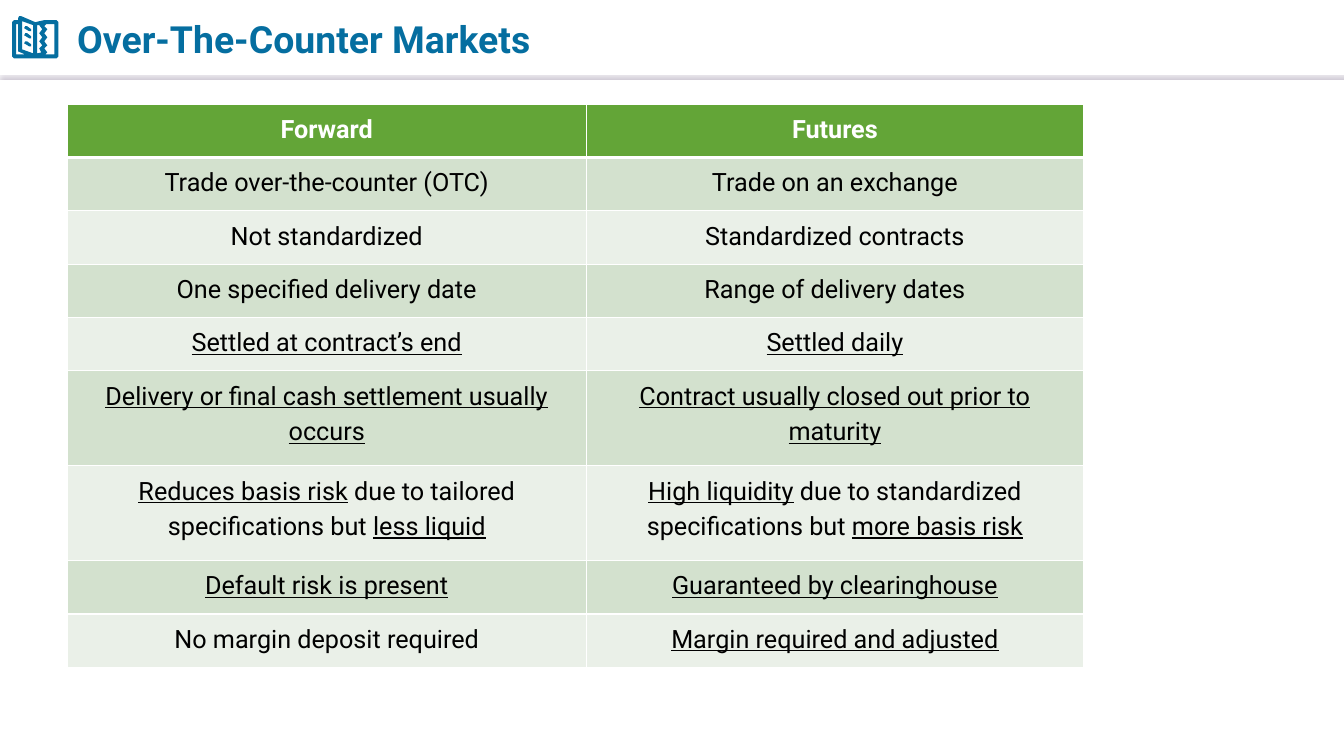
import dataclasses

import lxml.etree
import pptx
import pptx.dml.color
import pptx.enum.shapes
import pptx.enum.text
import pptx.oxml
import pptx.oxml.ns
import pptx.util

RGBColor = pptx.dml.color.RGBColor
BLUE = RGBColor(0x05, 0x6E, 0xA0)
GREEN = RGBColor(0x63, 0xA5, 0x37)
SAGE = RGBColor(0xD3, 0xE1, 0xCE)
PALE = RGBColor(0xEA, 0xF0, 0xE8)
SHADOW = RGBColor(0xBC, 0xB4, 0xC4)
WHITE = RGBColor(0xFF, 0xFF, 0xFF)
BLACK = RGBColor(0x00, 0x00, 0x00)
FONT = "Roboto"

# The slide is a grid of 160 columns by 90 rows of square units.
COLUMNS, ROWS = 160, 90
UNIT = pptx.util.Inches(1 / 12)
ICON_UNIT = UNIT * 0.12
COLUMN_WIDTHS = (61.8, 59.2)
LINE_ROWS = {1: 6.35, 2: 11.3}


@dataclasses.dataclass(frozen=True)
class Comparison:
    """One table row; underscores enclose underlined words."""
    forward: str
    futures: str
    lines: int = 1


COMPARISONS = [
    Comparison("Forward", "Futures"),
    Comparison("Trade over-the-counter (OTC)", "Trade on an exchange"),
    Comparison("Not standardized", "Standardized contracts"),
    Comparison("One specified delivery date", "Range of delivery dates"),
    Comparison("_Settled at contract’s end_", "_Settled daily_"),
    Comparison("_Delivery or final cash settlement usually occurs_",
               "_Contract usually closed out prior to maturity_", lines=2),
    Comparison("_Reduces basis risk_ due to tailored specifications but _less liquid_",
               "_High liquidity_ due to standardized specifications but _more basis risk_",
               lines=2),
    Comparison("_Default risk is present_", "_Guaranteed by clearinghouse_"),
    Comparison("No margin deposit required", "_Margin required and adjusted_"),
]

Contour = list[tuple[int, int]]
BOOK_OUTLINE: Contour = [
    (21, 16), (35, 22), (44, 20), (56, 20), (58, 22), (58, 56), (56, 58),
    (14, 58), (12, 56), (12, 22), (14, 20), (18, 20), (18, 18), (19, 16)]
LEFT_PAGE: Contour = [(22, 21), (33, 25), (33, 53), (22, 49)]
LEFT_COVER: Contour = [(16, 24), (18, 24), (18, 51), (25, 54), (16, 54)]
RIGHT_PAGE: Contour = [
    (37, 25), (39, 25), (42, 29), (39, 33), (42, 37), (39, 41), (42, 45),
    (39, 48), (41, 52), (37, 53)]
RIGHT_COVER: Contour = [
    (46, 24), (54, 24), (54, 54), (45, 54), (47, 52), (44, 48), (47, 45),
    (44, 41), (47, 37), (44, 33), (47, 29), (44, 26)]
TEXT_LINES: list[Contour] = [
    [(25, y), (27, y), (31, y + 3), (31, y + 5), (29, y + 5), (24, y + 2)]
    for y in (26, 33, 41)]
BOOK = [BOOK_OUTLINE, LEFT_PAGE, LEFT_COVER, RIGHT_PAGE, RIGHT_COVER, *TEXT_LINES]


def grid(units: float) -> pptx.util.Emu:
    return pptx.util.Emu(round(units * UNIT))


def write(tf, text: str, *, size: float, color: RGBColor, bold: bool = False,
          align=pptx.enum.text.PP_ALIGN.LEFT, spacing: float = 1.0) -> None:
    """Write one paragraph, underlining the words between underscores."""
    p = tf.paragraphs[0]
    p.alignment = align
    p.line_spacing = spacing
    for i, part in enumerate(text.split("_")):
        if part:
            r = p.add_run()
            r.text = part
            r.font.name = FONT
            r.font.size = pptx.util.Pt(size)
            r.font.color.rgb = color
            r.font.bold = bold
            r.font.underline = i % 2 == 1


def add_header_rule(s) -> None:
    rule = s.shapes.add_connector(pptx.enum.shapes.MSO_CONNECTOR.STRAIGHT,
                                  0, grid(8.76), grid(COLUMNS), grid(8.76))
    rule.line.color.rgb = WHITE
    rule.line.width = pptx.util.Pt(0.75)
    rule._element.spPr.append(pptx.oxml.parse_xml(
        f'<a:effectLst {pptx.oxml.ns.nsdecls("a")}>'
        f'<a:outerShdw blurRad="{pptx.util.Pt(1)}" dist="{pptx.util.Pt(3)}" '
        f'dir="5400000" algn="t" rotWithShape="0"><a:srgbClr val="{SHADOW}"/>'
        '</a:outerShdw></a:effectLst>'))


def add_book(s) -> None:
    builder = s.shapes.build_freeform(*BOOK[0][0], scale=ICON_UNIT)
    for contour in BOOK:
        builder.move_to(*contour[0])
        builder.add_line_segments(contour[1:], close=True)
    sp = builder.convert_to_shape()
    sp.shadow.inherit = False
    sp.fill.solid()
    sp.fill.fore_color.rgb = BLUE
    sp.line.fill.background()


def add_title(s, text: str) -> None:
    sp = s.shapes.add_textbox(grid(8), grid(0.84), grid(88.3), grid(7.56))
    tf = sp.text_frame
    tf.word_wrap = True
    tf.vertical_anchor = pptx.enum.text.MSO_ANCHOR.MIDDLE
    write(tf, text, size=26.7, color=BLUE, bold=True)


def set_borders(cell, **widths: float) -> None:
    """Give the sides L, R, T and B white borders of the given points."""
    tc_pr = cell._tc.get_or_add_tcPr()
    for side, width in widths.items():
        ln = lxml.etree.SubElement(tc_pr, pptx.oxml.ns.qn(f"a:ln{side}"),
                                   w=str(pptx.util.Pt(width)))
        fill = lxml.etree.SubElement(ln, pptx.oxml.ns.qn("a:solidFill"))
        lxml.etree.SubElement(fill, pptx.oxml.ns.qn("a:srgbClr"), val=str(WHITE))


def add_comparison_table(s, comparisons: list[Comparison]) -> None:
    heights = [LINE_ROWS[c.lines] for c in comparisons]
    table = s.shapes.add_table(len(comparisons), len(COLUMN_WIDTHS), grid(8), grid(12.4),
                               grid(sum(COLUMN_WIDTHS)), grid(sum(heights))).table
    for column, width in zip(table.columns, COLUMN_WIDTHS):
        column.width = grid(width)
    for i, comparison in enumerate(comparisons):
        table.rows[i].height = grid(heights[i])
        header = i == 0
        for j, text in enumerate((comparison.forward, comparison.futures)):
            cell = table.cell(i, j)
            set_borders(cell, L=1, R=1, T=3 if i == 1 else 1, B=3 if header else 1)
            cell.fill.solid()
            cell.fill.fore_color.rgb = GREEN if header else (PALE, SAGE)[i % 2]
            write(cell.text_frame, text, size=18, color=WHITE if header else BLACK,
                  bold=header, align=pptx.enum.text.PP_ALIGN.CENTER, spacing=1.2)


def main() -> None:
    prs = pptx.Presentation()
    prs.slide_width, prs.slide_height = grid(COLUMNS), grid(ROWS)
    s = prs.slides.add_slide(prs.slide_layouts[6])
    add_header_rule(s)
    add_book(s)
    add_title(s, "Over-The-Counter Markets")
    add_comparison_table(s, COMPARISONS)
    prs.save("out.pptx")


if __name__ == "__main__":
    main()
